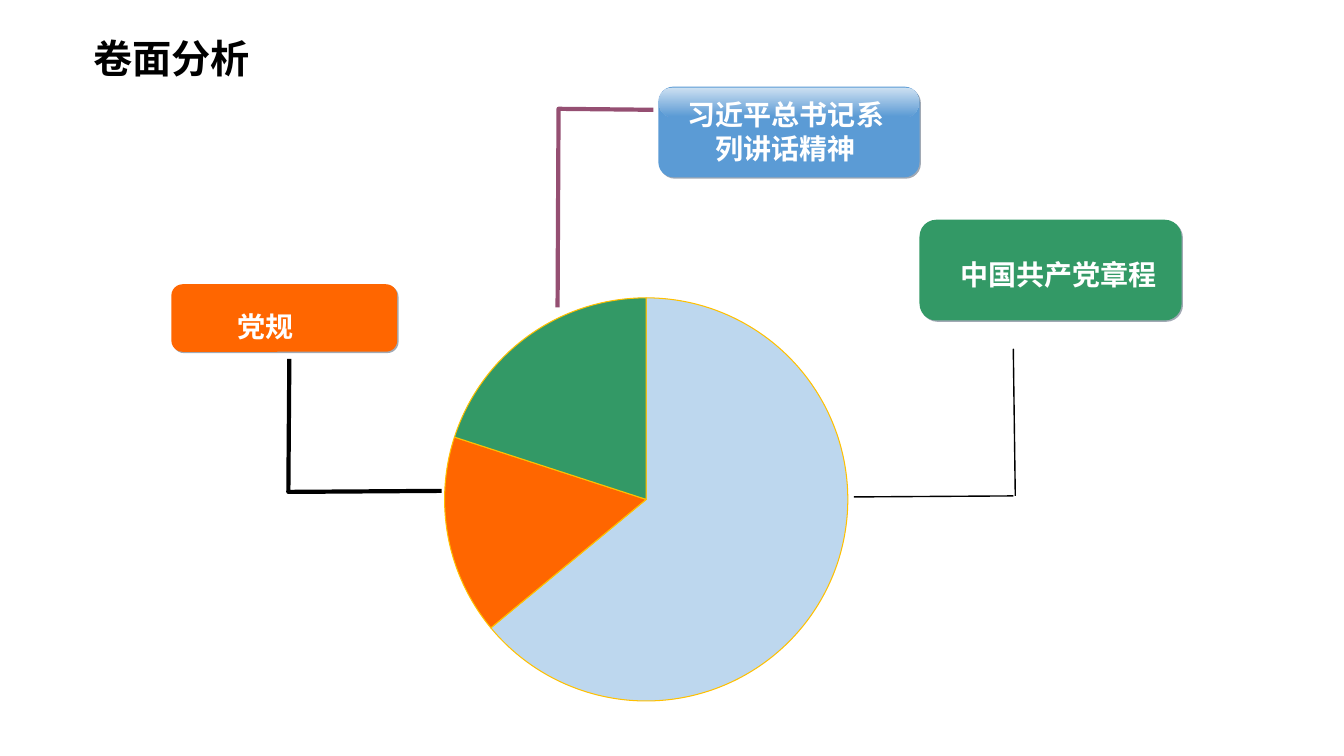
from lxml import etree
from pptx import Presentation
from pptx import util as u
from pptx.chart.data import CategoryChartData
from pptx.dml.color import RGBColor
from pptx.enum import chart as ch, shapes, text
from pptx.oxml import parse_xml
from pptx.oxml.ns import nsdecls, qn

FONT = "Calibri"
GREEN, ORANGE, BLUE, PALE = "339966", "FF6600", "5B9BD5", "BDD7EE"


def color(value):
    return RGBColor.from_string(value)


def inches(box):
    return [u.Inches(length) for length in box]


def add_shadow(properties, blur=0):
    properties.append(parse_xml(
        f'<a:effectLst {nsdecls("a")}><a:outerShdw blurRad="{blur}" dist="17780" dir="2700000" '
        'algn="ctr" rotWithShape="0"><a:srgbClr val="44546A"><a:alpha val="50000"/>'
        '</a:srgbClr></a:outerShdw></a:effectLst>'))


def add_caption(slide, box, wording, size, ink, align, shadow=False):
    frame = slide.shapes.add_textbox(*inches(box)).text_frame
    frame.word_wrap = True
    frame.text = wording
    line = frame.paragraphs[0]
    line.alignment = align
    font = line.runs[0].font
    font.size, font.bold, font.name = u.Pt(size), True, FONT
    font.color.rgb = color(ink)
    if shadow:
        properties = line.runs[0]._r.get_or_add_rPr()
        add_shadow(properties)
        properties.find(qn("a:latin")).addprevious(properties.find(qn("a:effectLst")))


def add_panel(slide, box, fill, rounding=0.167):
    panel = slide.shapes.add_shape(shapes.MSO_SHAPE.ROUNDED_RECTANGLE, *inches(box))
    panel.adjustments[0] = rounding
    panel.shadow.inherit = False
    panel.fill.solid()
    panel.fill.fore_color.rgb = color(fill)
    panel.line.fill.background()
    return panel


def add_gloss(slide, box):
    gloss = add_panel(slide, box, BLUE, 0.446)
    gloss.fill.gradient()
    gloss.fill.gradient_angle = 270
    for stop, (position, tint) in zip(gloss.fill.gradient_stops, [(0, "FFFFFF"), (1, BLUE)]):
        stop.position = position
        stop.color.rgb = color(tint)
    for tint in gloss._element.spPr.iter(qn("a:srgbClr")):
        etree.SubElement(tint, qn("a:alpha")).set("val", "70000")


def add_topic(slide, box, fill, wording, caption, align, glossy=False):
    left, top, width, height = box
    panel = add_panel(slide, box, fill)
    properties = panel._element.spPr
    properties.remove(properties.find(qn("a:effectLst")))
    add_shadow(properties)
    if glossy:
        add_gloss(slide, (left + 0.01, top + 0.01, width - 0.02, 0.29))
    dx, dy, caption_width, caption_height = caption
    add_caption(slide, (left + dx, top + dy, caption_width, caption_height),
                wording, 20, "FFFFFF", align, shadow=True)


def add_elbow(slide, points, ink):
    start, *rest = [inches(point) for point in points]
    builder = slide.shapes.build_freeform(*start)
    builder.add_line_segments(rest, close=False)
    elbow = builder.convert_to_shape()
    elbow.shadow.inherit = False
    elbow.fill.background()
    elbow.line.color.rgb = color(ink)
    elbow.line.width = u.Pt(3)


def add_leader(slide, start, end):
    leader = slide.shapes.add_connector(
        shapes.MSO_CONNECTOR.STRAIGHT, *inches(start), *inches(end))
    leader.line.color.rgb = color("000000")
    leader.line.width = u.Pt(1)
    etree.SubElement(leader._element.spPr, qn("a:effectLst"))


def add_share_pie(slide, box, diameter):
    shares = CategoryChartData()
    shares.categories = ["1", "2", "3"]
    shares.add_series("Series 1", (64, 16, 20))
    pie = slide.shapes.add_chart(ch.XL_CHART_TYPE.PIE, *inches(box), shares).chart
    pie.has_legend = pie.has_title = False
    pie.font.size, pie.font.name = u.Pt(17.9), FONT
    pie.font.color.rgb = color("000000")
    plot = pie.plots[0]
    plot.vary_by_categories = False
    for index, fill in enumerate((PALE, ORANGE, GREEN)):
        wedge = plot.series[0].points[index].format
        wedge.fill.solid()
        wedge.fill.fore_color.rgb = color(fill)
        wedge.line.color.rgb = color("FFC000")
        wedge.line.width = u.Pt(0.75)
    w, h = diameter / box[2], diameter / box[3]
    area = pie._chartSpace.chart.plotArea
    for layout in area.findall(qn("c:layout")):
        area.remove(layout)
    area.insert(0, parse_xml(
        f'<c:layout {nsdecls("c")}><c:manualLayout><c:layoutTarget val="inner"/>'
        '<c:xMode val="edge"/><c:yMode val="edge"/>'
        f'<c:x val="{(1 - w) / 2}"/><c:y val="{(1 - h) / 2}"/>'
        f'<c:w val="{w}"/><c:h val="{h}"/></c:manualLayout></c:layout>'))


def build_analysis(slide):
    center, left = text.PP_ALIGN.CENTER, text.PP_ALIGN.LEFT
    add_caption(slide, (0.48, 0.29, 2.44, 0.57), "卷面分析", 28, "000000", center)
    add_elbow(slide, [(2.87, 3.56), (2.86, 4.88), (4.38, 4.87)], "000000")
    add_elbow(slide, [(6.48, 1.09), (5.54, 1.08), (5.53, 3.05)], "954F72")
    add_topic(slide, (6.53, 0.86, 2.59, 0.9), BLUE, "习近平总书记系列讲话精神",
              (0.11, 0.06, 2.31, 0.77), center, glossy=True)
    add_topic(slide, (9.12, 2.18, 2.6, 1), GREEN, "中国共产党章程",
              (0.31, 0.33, 2.23, 0.44), left)
    add_share_pie(slide, (2.86, 2.82, 7.1, 4.27), 4)
    add_leader(slide, (10.05, 4.92), (8.47, 4.93))
    add_leader(slide, (10.05, 3.46), (10.07, 4.92))
    add_topic(slide, (1.7, 2.82, 2.24, 0.67), ORANGE, "党规",
              (-0.07, 0.2, 2.01, 0.44), center)


def main():
    deck = Presentation()
    deck.slide_width, deck.slide_height = inches((13.33, 7.5))
    build_analysis(deck.slides.add_slide(deck.slide_layouts[6]))
    deck.save("out.pptx")


if __name__ == "__main__":
    main()
